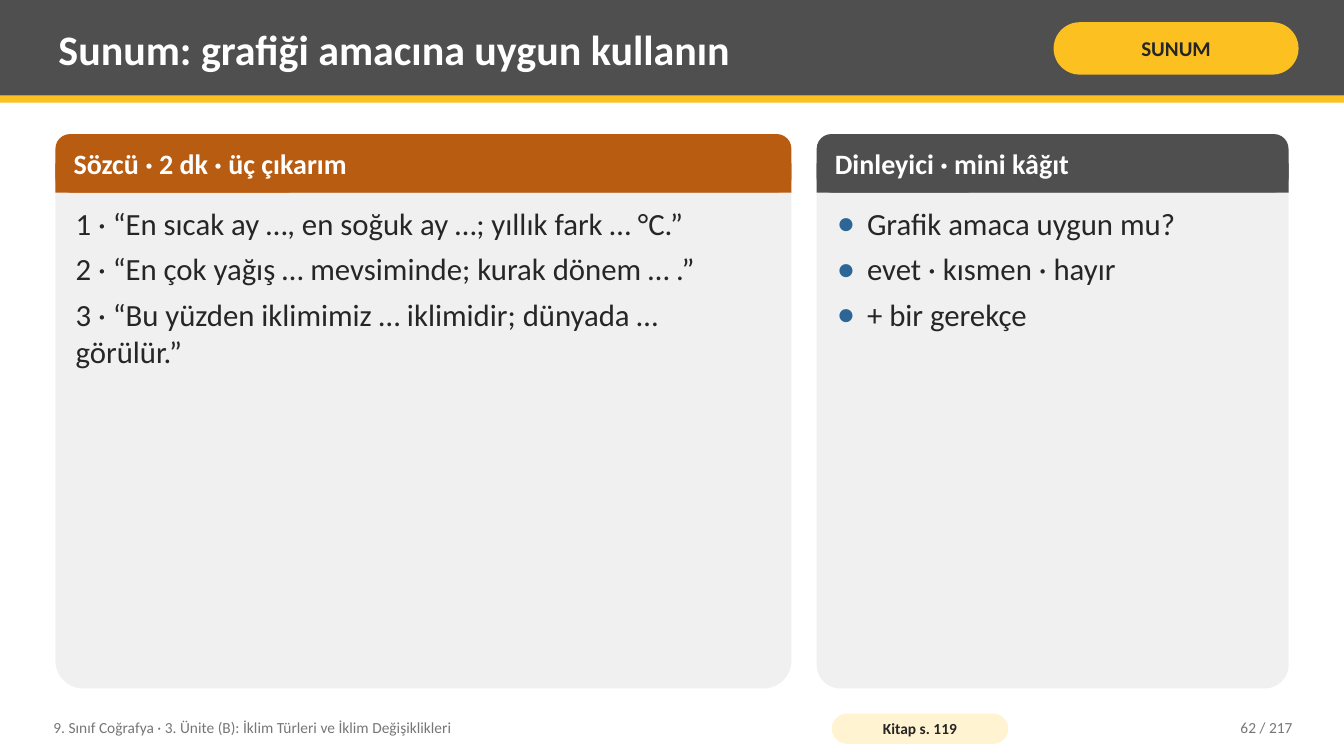
"""Build the slide on presenting a climate graph for its purpose."""
from lxml.etree import SubElement
from pptx import Presentation
from pptx.dml.color import RGBColor
from pptx.enum.shapes import MSO_SHAPE as Shape
from pptx.enum.text import MSO_ANCHOR as Anchor, PP_ALIGN as Align
from pptx.oxml.ns import qn
from pptx.util import Inches, Pt

GRAY = RGBColor(0x4F, 0x4F, 0x4F)
YELLOW = RGBColor(0xFC, 0xC0, 0x21)
CREAM = RGBColor(0xFF, 0xF3, 0xD1)
ORANGE = RGBColor(0xB8, 0x5C, 0x12)
PANEL = RGBColor(0xF0, 0xF0, 0xF0)
INK = RGBColor(0x26, 0x26, 0x26)
MUTED = RGBColor(0x76, 0x76, 0x76)
WHITE = RGBColor(0xFF, 0xFF, 0xFF)
BULLET_BLUE = "2C6696"

TITLE = "Sunum: grafiği amacına uygun kullanın"
STAGE = "SUNUM"
COURSE = "9. Sınıf Coğrafya · 3. Ünite (B): İklim Türleri ve İklim Değişiklikleri"
BOOK_PAGE = "Kitap s. 119"
PAGE = "62 / 217"
CARDS = [
    {"left": 0.55, "width": 7.3, "color": ORANGE, "bulleted": False,
     "heading": "Sözcü · 2 dk · üç çıkarım",
     "lines": ["1 · “En sıcak ay …, en soğuk ay …; yıllık fark … °C.”",
               "2 · “En çok yağış … mevsiminde; kurak dönem … .”",
               "3 · “Bu yüzden iklimimiz … iklimidir; dünyada … görülür.”"]},
    {"left": 8.1, "width": 4.68, "color": GRAY, "bulleted": True,
     "heading": "Dinleyici · mini kâğıt",
     "lines": ["Grafik amaca uygun mu?", "evet · kısmen · hayır", "+ bir gerekçe"]},
]
SLIDE_WIDTH, SLIDE_HEIGHT = 13.33, 7.5
CARD_TOP, CARD_HEIGHT, HEADING_HEIGHT = 1.33, 5.5, 0.58

presentation = Presentation()
presentation.slide_width = Inches(SLIDE_WIDTH)
presentation.slide_height = Inches(SLIDE_HEIGHT)
slide = presentation.slides.add_slide(presentation.slide_layouts[6])


def add_block(box, color, radius=None):
    """Add a filled block, rounded when a radius is given."""
    kind = Shape.RECTANGLE if radius is None else Shape.ROUNDED_RECTANGLE
    block = slide.shapes.add_shape(kind, *map(Inches, box))
    if radius is not None:
        block.adjustments[0] = radius
    block.fill.solid()
    block.fill.fore_color.rgb = color
    block.line.fill.background()
    block.shadow.inherit = False
    return block


def add_bullet(paragraph):
    """Give a paragraph a blue hanging bullet."""
    properties = paragraph._p.get_or_add_pPr()
    properties.set("marL", str(Inches(0.3)))
    properties.set("indent", str(-Inches(0.3)))
    SubElement(SubElement(properties, qn("a:buClr")), qn("a:srgbClr"), val=BULLET_BLUE)
    SubElement(properties, qn("a:buSzPct"), val="120000")
    SubElement(properties, qn("a:buFont"), typeface="Calibri")
    SubElement(properties, qn("a:buChar"), char="•")


def write(shape, lines, size, color, bold=False, align=Align.LEFT,
          anchor=Anchor.MIDDLE, insets=(0.08, 0.04), bulleted=False):
    """Write lines as paragraphs into a shape."""
    frame = shape.text_frame
    side, end = map(Inches, insets)
    layout = {"word_wrap": True, "vertical_anchor": anchor, "margin_left": side,
              "margin_right": side, "margin_top": end, "margin_bottom": end}
    for name, value in layout.items():
        setattr(frame, name, value)
    for number, line in enumerate(lines):
        paragraph = frame.add_paragraph() if number else frame.paragraphs[0]
        paragraph.text = line
        paragraph.alignment = align
        if bulleted:
            add_bullet(paragraph)
        if number < len(lines) - 1:
            paragraph.space_after = Pt(6)
        font = paragraph.runs[0].font
        for name, value in {"name": "Calibri", "size": Pt(size), "bold": bold}.items():
            setattr(font, name, value)
        font.color.rgb = color


def add_text(box, lines, *style, **options):
    """Add a text box."""
    write(slide.shapes.add_textbox(*map(Inches, box)), lines, *style, **options)


def add_card(left, width, color, heading, lines, bulleted):
    """Add a panel with a heading band and body text."""
    half = HEADING_HEIGHT / 2
    add_block((left, CARD_TOP, width, CARD_HEIGHT), PANEL, 0.05)
    add_block((left, CARD_TOP, width, HEADING_HEIGHT), color, 0.25)
    add_block((left, CARD_TOP + half, width, half), color)
    add_text((left + 0.1, CARD_TOP, width - 0.2, HEADING_HEIGHT), [heading], 20, WHITE, True)
    add_text((left + 0.12, CARD_TOP + HEADING_HEIGHT + 0.08, width - 0.24,
              CARD_HEIGHT - HEADING_HEIGHT - 0.16),
             lines, 22, INK, anchor=Anchor.TOP, bulleted=bulleted)


add_block((0, 0, SLIDE_WIDTH, 0.95), GRAY)
add_block((0, 0.95, SLIDE_WIDTH, 0.07), YELLOW)
add_text((0.5, 0.07, 9.75, 0.82), [TITLE], 30, WHITE, True)
write(add_block((10.45, 0.22, 2.43, 0.52), YELLOW, 0.5), [STAGE], 15, INK, True,
      Align.CENTER, insets=(0.05, 0.02))
for card in CARDS:
    add_card(**card)
add_text((0.45, 7.04, 7.6, 0.36), [COURSE], 11, MUTED)
write(add_block((8.25, 7.08, 1.75, 0.3), CREAM, 0.5), [BOOK_PAGE], 11, INK, True,
      Align.CENTER, insets=(0.04, 0))
add_text((11.3, 7.04, 1.6, 0.36), [PAGE], 11, MUTED, align=Align.RIGHT)

presentation.save("out.pptx")
